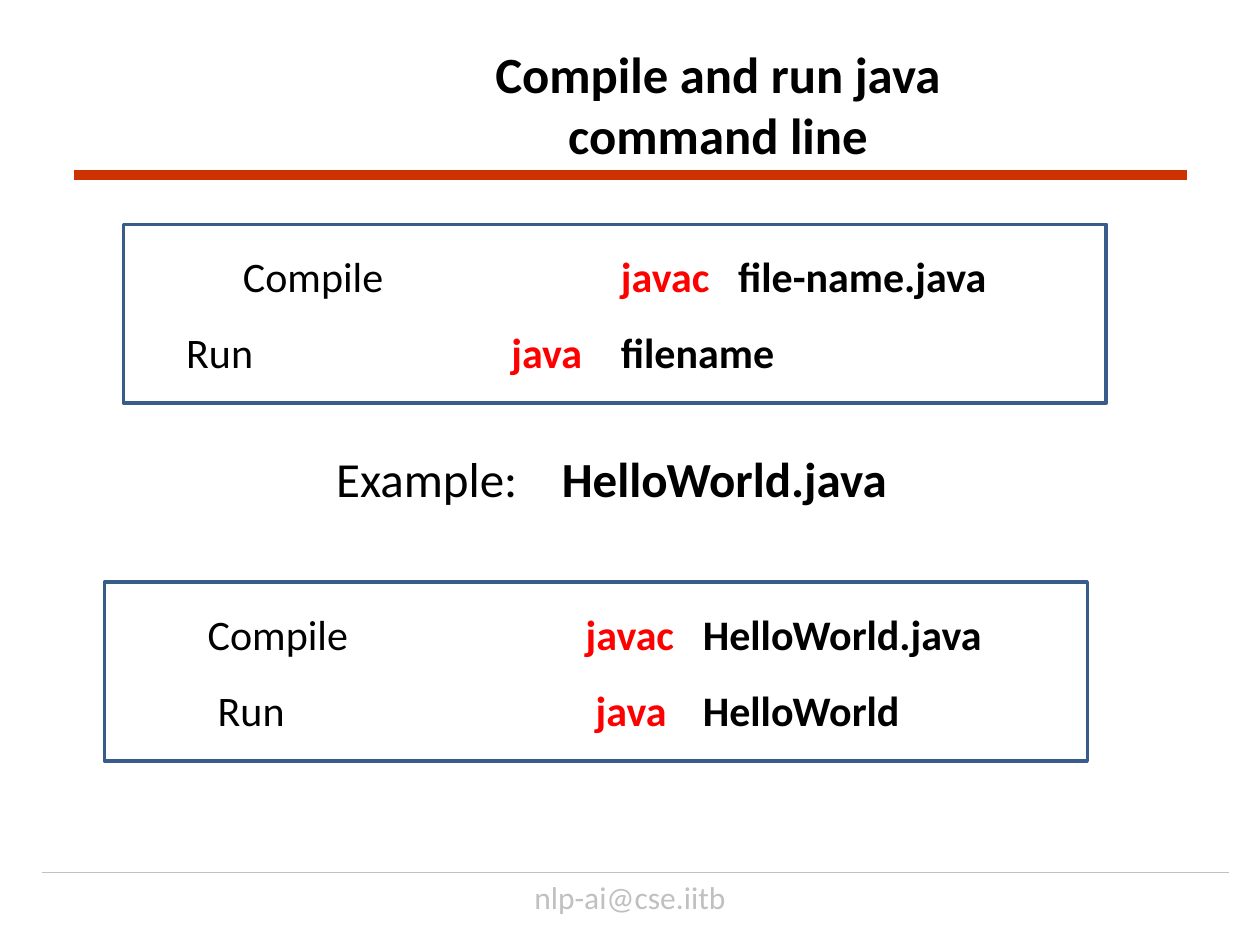
from lxml.etree import SubElement
from pptx import Presentation
from pptx.dml.color import RGBColor
from pptx.enum.shapes import MSO_CONNECTOR as CONN, MSO_SHAPE as SHAPE
from pptx.enum.text import MSO_ANCHOR as ANCHOR, PP_ALIGN as ALIGN
from pptx.oxml.ns import qn
from pptx.util import Inches, Pt

BLACK, RED, GRAY = "000000", "FF0000", "C0C0C0"


def rgb(value):
    return RGBColor.from_string(value)


class Deck:
    font = "Calibri"

    def __init__(self):
        self.prs = Presentation()
        self.prs.slide_width, self.prs.slide_height = Inches(10), Inches(7.5)
        self.s = self.prs.slides.add_slide(self.prs.slide_layouts[5])

    def style(self, r, size, color=BLACK, bold=False):
        r.font.name, r.font.size, r.font.bold = self.font, Pt(size), bold
        r.font.color.rgb = rgb(color)

    def runs(self, p, size, parts):
        for text, color, bold in parts:
            r = p.add_run()
            r.text = text
            self.style(r, size, color, bold)

    def tabs(self, p, stops):
        tab_list = SubElement(p._p.get_or_add_pPr(), qn("a:tabLst"))
        for stop in stops:
            SubElement(tab_list, qn("a:tab"), pos=str(Inches(stop)), algn="l")

    def title(self, text, x, y, w, h, size):
        sp = self.s.shapes.title
        sp.left, sp.top, sp.width, sp.height = map(Inches, (x, y, w, h))
        tf = sp.text_frame
        tf.margin_left = tf.margin_top = tf.margin_right = tf.margin_bottom = 0
        tf.vertical_anchor = ANCHOR.MIDDLE
        tf.text = text
        p = tf.paragraphs[0]
        p.alignment = ALIGN.CENTER
        for r in p.runs:
            self.style(r, size, bold=True)

    def line(self, x1, x2, y, color, width):
        cx = self.s.shapes.add_connector(CONN.STRAIGHT, Inches(x1), Inches(y), Inches(x2), Inches(y))
        cx.line.color.rgb = rgb(color)
        cx.line.width = Pt(width)
        SubElement(cx._element.spPr, qn("a:effectLst"))

    def text(self, x, y, w, h, size, parts, align=ALIGN.LEFT, stops=()):
        tf = self.s.shapes.add_textbox(*map(Inches, (x, y, w, h))).text_frame
        tf.word_wrap = True
        p = tf.paragraphs[0]
        p.alignment = align
        if stops:
            self.tabs(p, stops)
        self.runs(p, size, parts)

    def command_box(self, x, y, commands):
        sp = self.s.shapes.add_shape(SHAPE.RECTANGLE, Inches(x), Inches(y), Inches(7.8), Inches(1.42))
        sp.shadow.inherit = False
        sp.fill.solid()
        sp.fill.fore_color.rgb = rgb("FFFFFF")
        sp.line.color.rgb = rgb("385D8A")
        sp.line.width = Pt(2)
        tf = sp.text_frame
        tf.vertical_anchor = ANCHOR.MIDDLE
        for i, (step, tool, target, stops) in enumerate(commands):
            p = tf.add_paragraph() if i else tf.paragraphs[0]
            p.alignment = ALIGN.LEFT
            if i:
                p.space_before = Pt(15)
            self.tabs(p, stops)
            self.runs(p, 24, [("\t" + step + "\t", BLACK, False),
                              (tool + "\t", RED, True), (target, BLACK, True)])


def main():
    deck = Deck()
    deck.text(1.5, 6.92, 7, 0.25, 18, [("nlp-ai@cse.iitb", GRAY, False)], ALIGN.CENTER)
    deck.line(0.33, 9.75, 6.92, GRAY, 0.25)
    deck.line(0.59, 9.42, 1.39, "CC3300", 6)
    deck.title("Compile and run java\vcommand line", 1.45, 0.32, 8.5, 1, 29)
    deck.command_box(0.98, 1.78, [
        ("Compile", "javac", "file-name.java", (0.85, 3.85, 4.78)),
        ("Run", "java", "filename", (0.4, 2.98, 3.85)),
    ])
    deck.command_box(0.83, 4.62, [
        ("Compile", "javac", "HelloWorld.java", (0.72, 3.72, 4.65)),
        ("Run", "java", "HelloWorld", (0.8, 3.8, 4.65)),
    ])
    deck.text(2.57, 3.51, 4.61, 0.57, 28,
              [("Example:\t", BLACK, False), ("HelloWorld.java", BLACK, True)], stops=(1.79,))
    deck.prs.save("out.pptx")


if __name__ == "__main__":
    main()
